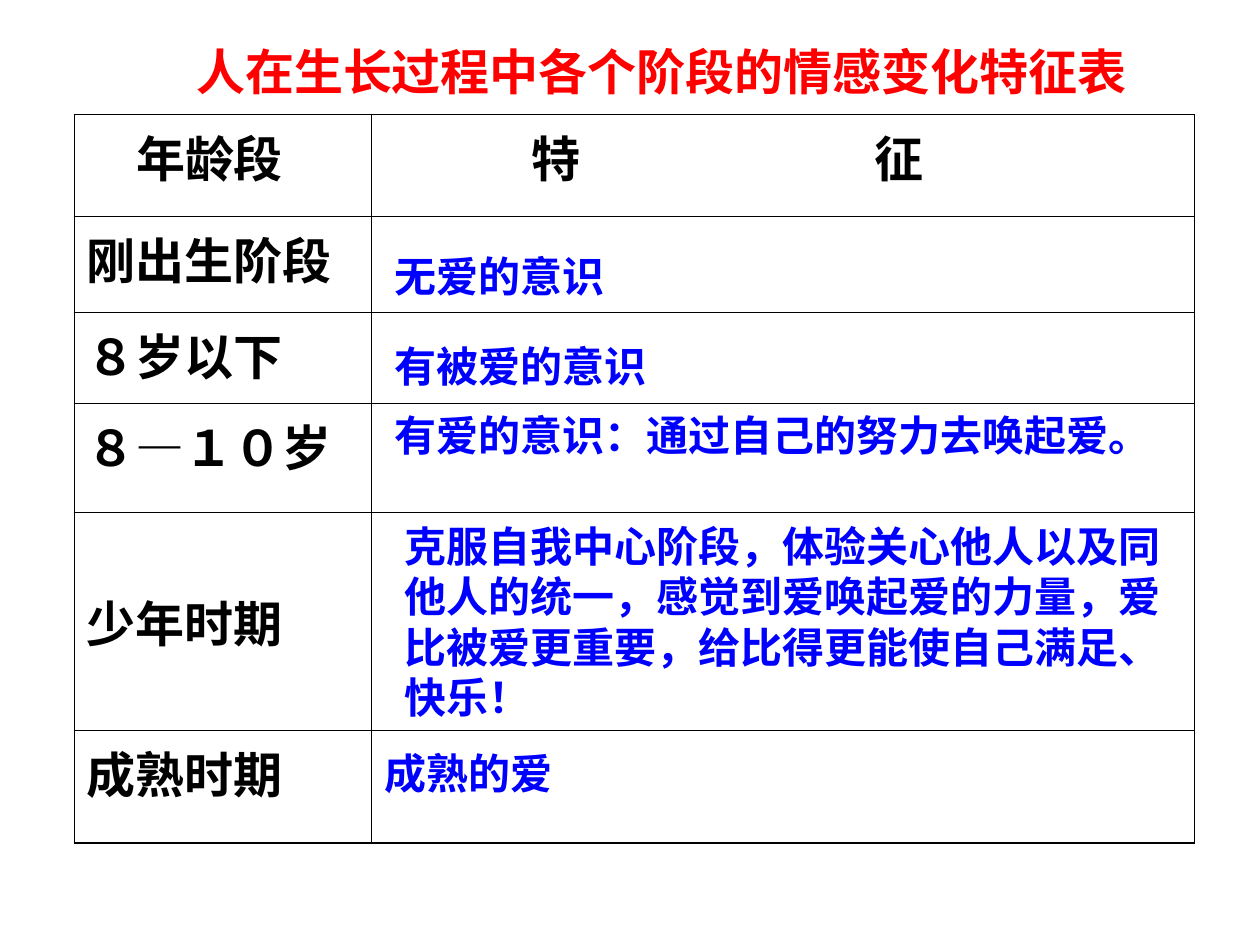
from lxml import etree
from pptx import Presentation
from pptx.dml.color import RGBColor
from pptx.oxml.ns import qn
from pptx.util import Inches, Pt

BLACK, RED, BLUE = "000000", "FF0000", "0000FF"
OUTER, INNER = 1.08, 0.45

TITLE = ("人在生长过程中各个阶段的情感变化特征表", 1.46, 0.28, 8.03, 1.04)
STAGES = ["刚出生阶段", "８岁以下", "８—１０岁", "少年时期", "成熟时期"]
ROWS = [["\t年龄段", "\t特\t征"]] + [[stage, ""] for stage in STAGES]
HEADER_TABS = [[0.39], [1.17, 3.89]]
COL_WIDTHS = [2.36, 6.53]
ROW_HEIGHTS = [0.81, 0.76, 0.72, 0.87, 1.73, 0.89]
TOP_MARGINS = {"少年时期": 0.58}
FEATURES = [
    ("无爱的意识", 3.03, 1.94, 2.99, 0.5),
    ("有被爱的意识", 3.03, 2.65, 3.07, 0.5),
    ("有爱的意识：通过自己的努力去唤起爱。", 3.03, 3.2, 6.69, 0.5),
    ("克服自我中心阶段，体验关心他人以及同他人的统一，感觉到爱唤起爱的力量，"
     "爱比被爱更重要，给比得更能使自己满足、快乐！", 3.11, 4.08, 6.38, 1.7),
    ("成熟的爱", 2.95, 5.88, 5.98, 0.5),
]


def rgb(color):
    return RGBColor.from_string(color)


def style(p, size, color):
    p.font.name = "Arial"
    p.font.size = Pt(size)
    p.font.bold = True
    p.font.color.rgb = rgb(color)


def add_text(s, text, left, top, width, height, size, color):
    sp = s.shapes.add_textbox(*map(Inches, (left, top, width, height)))
    tf = sp.text_frame
    tf.word_wrap = True
    tf.text = text
    style(tf.paragraphs[0], size, color)


def add_tabs(p, stops):
    tabs = etree.SubElement(p._p.get_or_add_pPr(), qn("a:tabLst"))
    for stop in stops:
        etree.SubElement(tabs, qn("a:tab"), pos=str(Inches(stop)), algn="l")


def add_borders(cell, edges):
    tcPr = cell._tc.get_or_add_tcPr()
    for i, (side, outer) in enumerate(edges.items()):
        width = Pt(OUTER if outer else INNER)
        ln = etree.Element(qn(f"a:ln{side}"), w=str(width))
        fill = etree.SubElement(ln, qn("a:solidFill"))
        etree.SubElement(fill, qn("a:srgbClr"), val=BLACK)
        tcPr.insert(i, ln)


def add_stage_table(s):
    n_rows, n_cols = len(ROWS), len(COL_WIDTHS)
    table = s.shapes.add_table(
        n_rows, n_cols, Inches(0.59), Inches(0.91),
        Inches(sum(COL_WIDTHS)), Inches(sum(ROW_HEIGHTS))).table
    table.first_row = table.horz_banding = False
    for col, width in zip(table.columns, COL_WIDTHS):
        col.width = Inches(width)
    for row, height in zip(table.rows, ROW_HEIGHTS):
        row.height = Inches(height)
    for i, texts in enumerate(ROWS):
        for j, text in enumerate(texts):
            cell = table.cell(i, j)
            cell.margin_top = Inches(TOP_MARGINS.get(text, 0.05))
            cell.fill.background()
            cell.text = text
            p = cell.text_frame.paragraphs[0]
            if i == 0:
                add_tabs(p, HEADER_TABS[j])
            style(p, 28, BLACK)
            add_borders(cell, {"L": j == 0, "R": j == n_cols - 1,
                               "T": i == 0, "B": i == n_rows - 1})


def main():
    prs = Presentation()
    prs.slide_width, prs.slide_height = Inches(10), Inches(7.5)
    s = prs.slides.add_slide(prs.slide_layouts[6])
    add_text(s, *TITLE, 28, RED)
    add_stage_table(s)
    for feature in FEATURES:
        add_text(s, *feature, 24, BLUE)
    prs.save("out.pptx")


if __name__ == "__main__":
    main()
